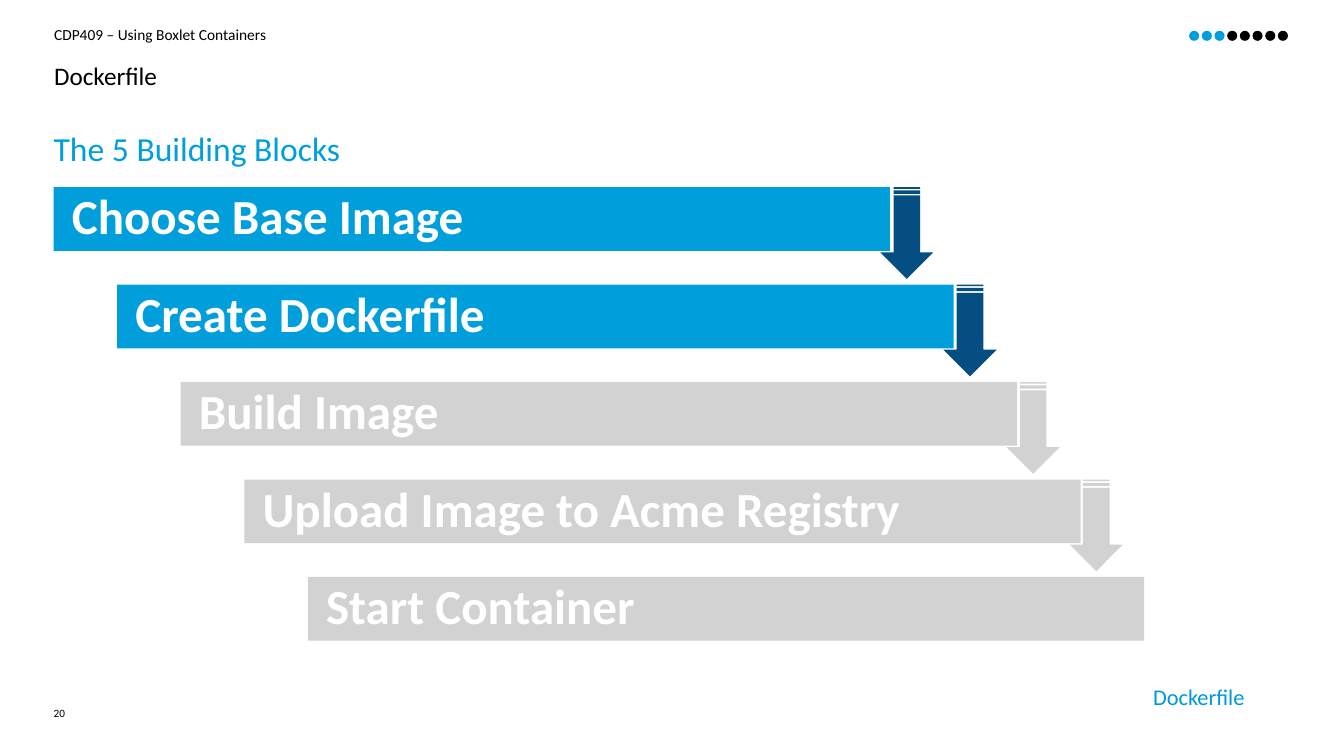
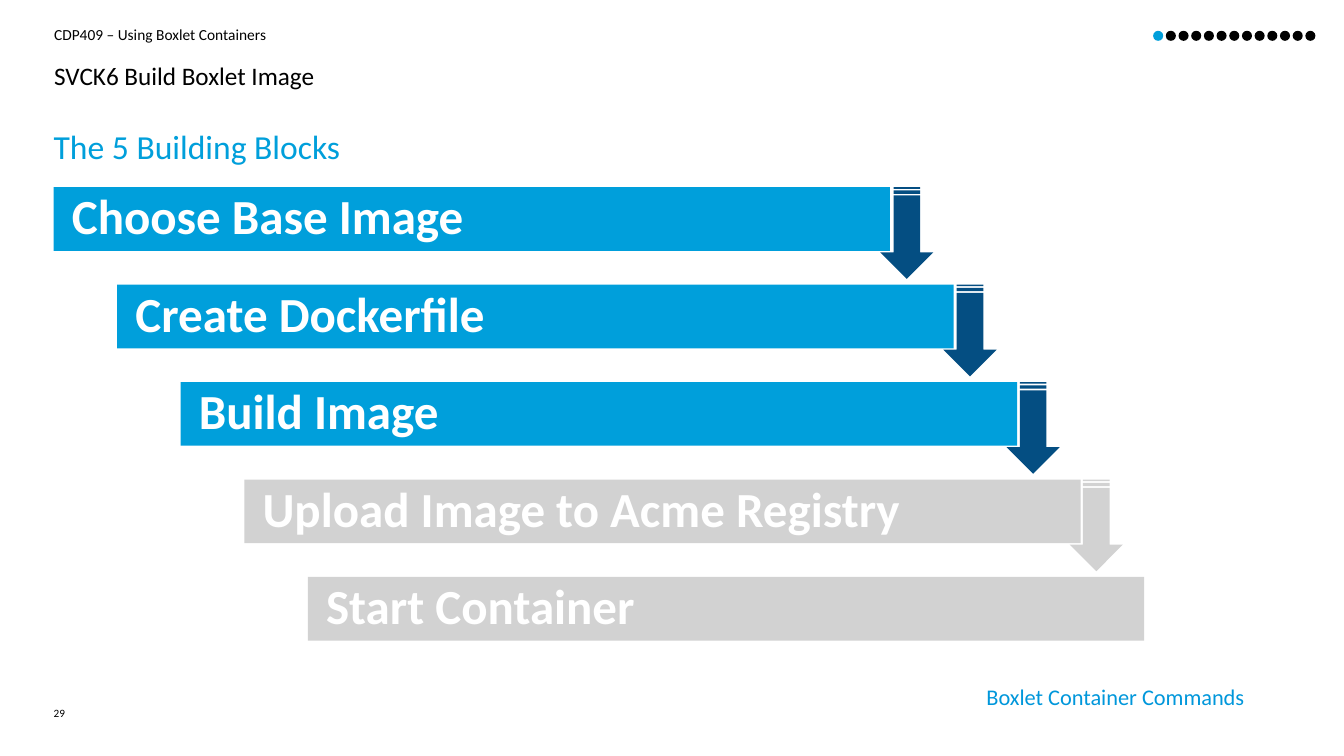
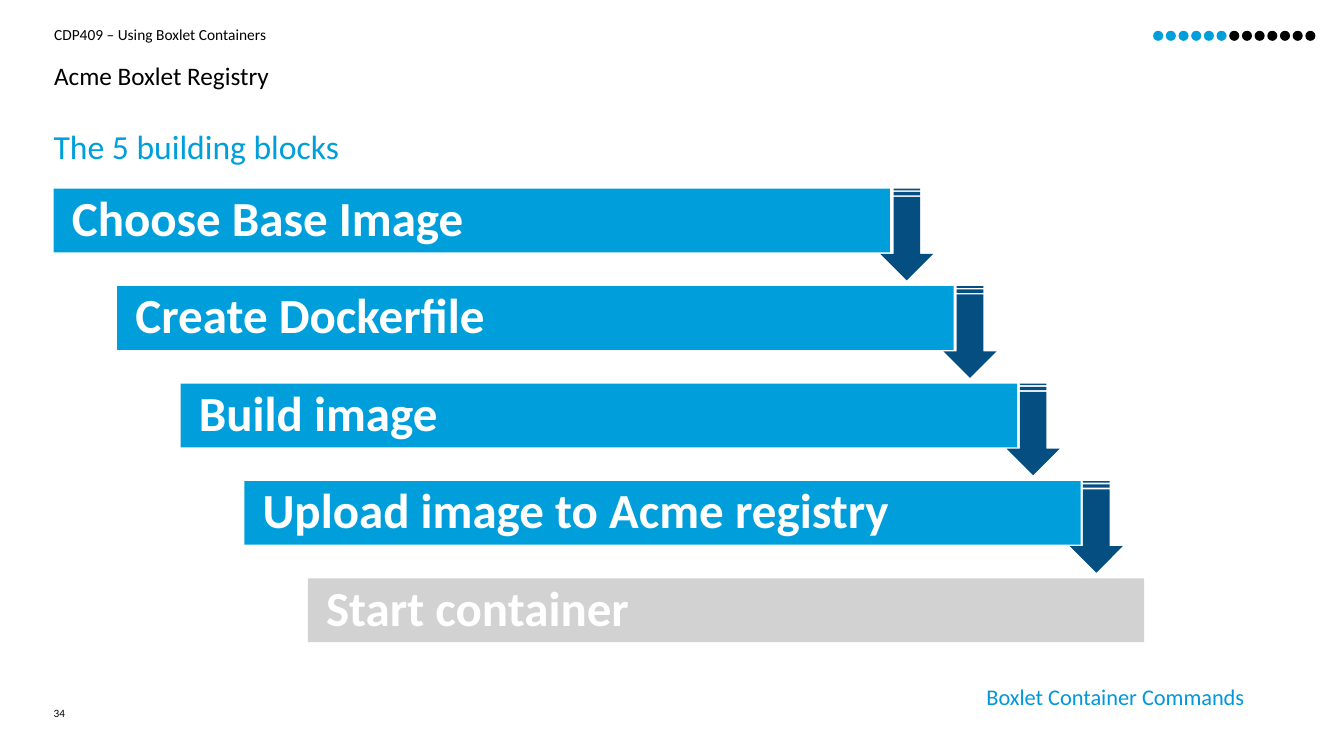
from dataclasses import dataclass

from pptx import Presentation
from pptx import util as u
from pptx.dml.color import RGBColor
from pptx.enum import shapes, text


@dataclass(frozen=True)
class Theme:
    font: str = "Calibri"
    black: str = "000000"
    white: str = "FFFFFF"
    blue: str = "009FDB"
    footer_blue: str = "0097DB"
    navy: str = "044E82"
    grey: str = "D2D2D2"
    course_size: int = 11
    title_size: int = 18
    heading_size: int = 24
    step_size: int = 35
    footer_size: int = 16
    page_size: int = 8


T = Theme()
KIND = shapes.MSO_SHAPE


def write(sp, words, size, color, insets=(0, 0, 0, 0), spacing=None, align=None, bold=False):
    tf = sp.text_frame
    tf.text = words
    tf.word_wrap = True
    tf.margin_left, tf.margin_top, tf.margin_right, tf.margin_bottom = map(u.Pt, insets)
    p = tf.paragraphs[0]
    p.line_spacing = spacing
    p.alignment = align
    font = p.runs[0].font
    font.name = T.font
    font.size = u.Pt(size)
    font.bold = bold
    font.color.rgb = RGBColor.from_string(color)


def draw(parent, kind, x, y, w, h, color):
    sp = parent.shapes.add_shape(kind, u.Pt(x), u.Pt(y), u.Pt(w), u.Pt(h))
    sp.shadow.inherit = False
    sp.fill.solid()
    sp.fill.fore_color.rgb = RGBColor.from_string(color)
    sp.line.fill.background()
    return sp


STEPS = ["Choose Base Image", "Create Dockerfile", "Build Image",
         "Upload Image to Acme Registry", "Start Container"]
STEPS_LOWER = ["Choose Base Image", "Create Dockerfile", "Build image",
               "Upload image to Acme registry", "Start container"]

SLIDES = [
    dict(title="Dockerfile", heading="The 5 Building Blocks", heading_y=94.3, steps=STEPS,
         done=2, steps_y=133.7, footer="Dockerfile", page="20",
         dots=8, dots_done=3, dots_x=849.4),
    dict(title="SVCK6 Build Boxlet Image", heading="The 5 Building Blocks", heading_y=93,
         steps=STEPS, done=3, steps_y=133.7, footer="Boxlet Container Commands", page="29",
         dots=13, dots_done=1, dots_x=823.7),
    dict(title="Acme Boxlet Registry", heading="The 5 building blocks", heading_y=93,
         steps=STEPS_LOWER, done=4, steps_y=134.8, footer="Boxlet Container Commands", page="34",
         dots=13, dots_done=6, dots_x=823.7),
]

STEP_DX, STEP_DY = 45.4, 69.6
ARROW_LENGTH, ARROW_WIDTH = 65.5, 38

prs = Presentation()
prs.slide_width, prs.slide_height = u.Pt(960), u.Pt(540)

for info in SLIDES:
    s = prs.slides.add_slide(prs.slide_layouts[6])

    labels = [
        ("CDP409 – Using Boxlet Containers", (38.6, 18, 882, 14.4),
         dict(size=T.course_size, color=T.black)),
        (info["title"], (38.6, 41, 882, 27),
         dict(size=T.title_size, color=T.black, spacing=1.1)),
        (info["heading"], (38.3, info["heading_y"], 882, 30),
         dict(size=T.heading_size, color=T.blue, spacing=0.9)),
        (info["page"], (38.3, 504, 23, 18),
         dict(size=T.page_size, color=T.black, spacing=u.Pt(10))),
        (info["footer"], (651, 484.6, 245, 26.6),
         dict(size=T.footer_size, color=T.footer_blue, insets=(7.2, 3.6, 7.2, 3.6),
              align=text.PP_ALIGN.RIGHT)),
    ]
    for words, box, style in labels:
        write(s.shapes.add_textbox(*map(u.Pt, box)), words, **style)

    staircase = s.shapes.add_group_shape()
    for i, step in enumerate(info["steps"]):
        done = i < info["done"]
        y = info["steps_y"] + i * STEP_DY
        sp = draw(staircase, KIND.RECTANGLE, 38.3 + i * STEP_DX, y, 597.4, 45.5,
                  T.blue if done else T.grey)
        write(sp, step, T.step_size, T.white, insets=(13, 13, 108, 13), spacing=0.9,
              align=text.PP_ALIGN.LEFT, bold=True)
        sp.text_frame.vertical_anchor = text.MSO_ANCHOR.MIDDLE

    for i in range(len(info["steps"]) - 1):
        y = info["steps_y"] + i * STEP_DY + (ARROW_LENGTH - ARROW_WIDTH) / 2
        sp = draw(staircase, KIND.STRIPED_RIGHT_ARROW, 615 + i * 45.1, y,
                  ARROW_LENGTH, ARROW_WIDTH, T.navy if i < info["done"] else T.grey)
        sp.rotation = 90

    for i in range(info["dots"]):
        draw(s, KIND.OVAL, info["dots_x"] + i * 9.06, 22, 7.2, 7.2,
             T.blue if i < info["dots_done"] else T.black)

prs.save("out.pptx")
